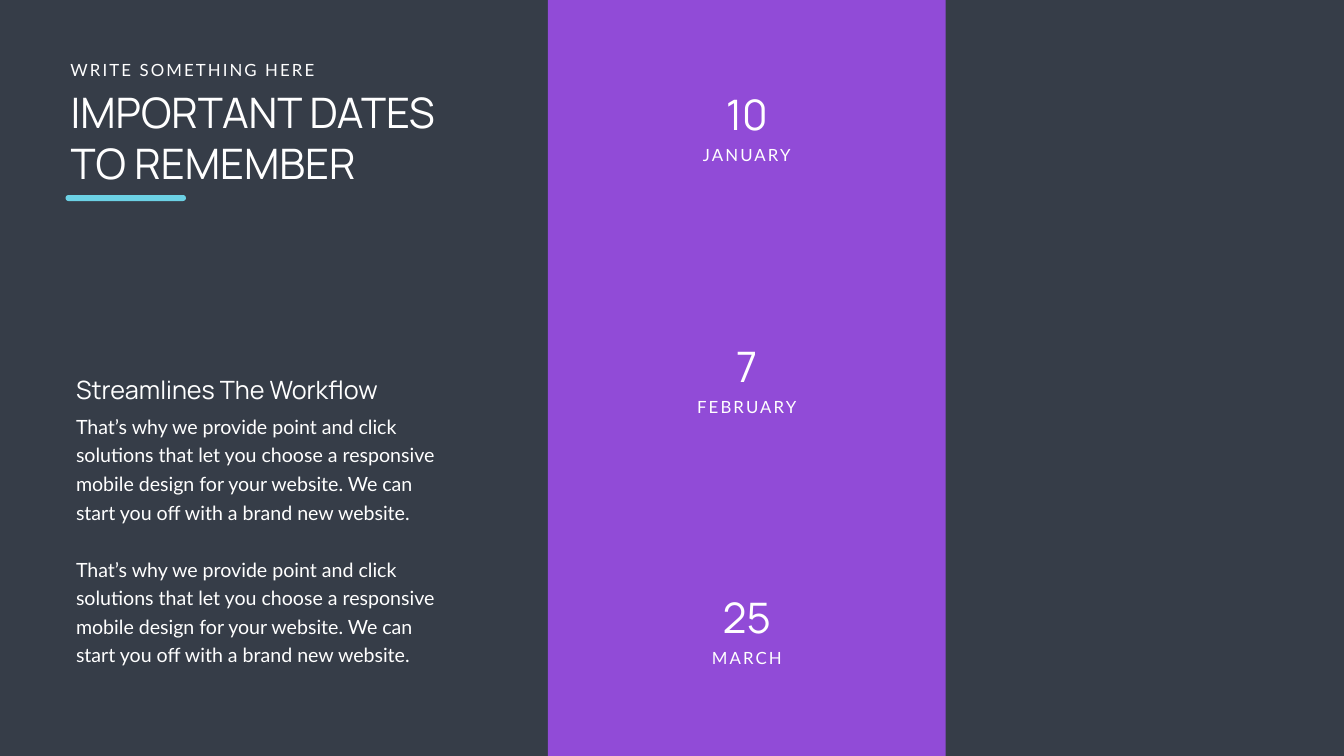
from pptx import Presentation
from pptx.dml.color import RGBColor
from pptx.enum.shapes import MSO_SHAPE
from pptx.enum.text import MSO_ANCHOR, MSO_AUTO_SIZE, PP_ALIGN
from pptx.util import Pt

TITLE = "IMPORTANT DATES TO REMEMBER"
EYEBROW = "WRITE SOMETHING HERE"
HEADING = "Streamlines The Workflow"
PARAGRAPH = (
    "That’s why we provide point and click solutions that let you choose "
    "a responsive mobile design for your website. "
    "We can start you off with a brand new website."
)
DATES = [("10", "JANUARY"), ("7", "FEBRUARY"), ("25", "MARCH")]

SLATE = RGBColor(0x36, 0x3D, 0x48)
WHITE = RGBColor(0xFF, 0xFF, 0xFF)
PURPLE = RGBColor(0x91, 0x4B, 0xD7)
CYAN = RGBColor(0x6C, 0xD1, 0xE5)

SLIDE_WIDTH, SLIDE_HEIGHT = 1919.52, 1080
MARGIN = 93.6
BODY_LEFT = 101.5
COLUMN_LEFT, COLUMN_WIDTH = 782.6, 568
DATE_WIDTH, DATE_TOP, DATE_STEP = 215.2, 123.1, 359.4
NUMBER_HEIGHT, LABEL_HEIGHT = 80, 36
LINE_HEIGHT = 40.8


def write(shape, paragraphs, size, font, alignment=PP_ALIGN.LEFT, tracking=0, line_height=None):
    frame = shape.text_frame
    frame.word_wrap = True
    frame.auto_size = MSO_AUTO_SIZE.NONE
    frame.vertical_anchor = MSO_ANCHOR.TOP
    for index, text in enumerate(paragraphs):
        paragraph = frame.add_paragraph() if index else frame.paragraphs[0]
        paragraph.alignment = alignment
        if line_height:
            paragraph.line_spacing = Pt(line_height)
            if index:
                paragraph.space_before = Pt(line_height)
        run = paragraph.add_run()
        run.text = text
        run.font.size = Pt(size)
        run.font.name = font
        run.font.color.rgb = WHITE
        if tracking:
            run.font._element.set("spc", str(tracking * 100))


def add_text(slide, box, paragraphs, size, font, **options):
    write(slide.shapes.add_textbox(*map(Pt, box)), paragraphs, size, font, **options)


def add_block(slide, kind, box, color):
    shape = slide.shapes.add_shape(kind, *map(Pt, box))
    shape.shadow.inherit = False
    shape.fill.solid()
    shape.fill.fore_color.rgb = color
    shape.line.fill.background()
    return shape


def main():
    presentation = Presentation()
    presentation.slide_width = Pt(SLIDE_WIDTH)
    presentation.slide_height = Pt(SLIDE_HEIGHT)
    slide = presentation.slides.add_slide(presentation.slide_layouts[5])
    slide.background.fill.solid()
    slide.background.fill.fore_color.rgb = SLATE

    title = slide.shapes.title
    title.left, title.top, title.width, title.height = map(Pt, (MARGIN, 120.2, 568, 152.6))
    write(title, [TITLE], 60, "Manrope")
    add_text(slide, (MARGIN, 81.4, 568, LABEL_HEIGHT), [EYEBROW], 24, "Lato", tracking=3)
    underline = add_block(slide, MSO_SHAPE.ROUNDED_RECTANGLE, (MARGIN, 278.6, 172, 8.6), CYAN)
    underline.adjustments[0] = 0.5

    add_block(slide, MSO_SHAPE.RECTANGLE, (COLUMN_LEFT, 0, COLUMN_WIDTH, SLIDE_HEIGHT), PURPLE)
    date_left = COLUMN_LEFT + (COLUMN_WIDTH - DATE_WIDTH) / 2
    for index, (day, month) in enumerate(DATES):
        top = DATE_TOP + index * DATE_STEP
        add_text(slide, (date_left, top, DATE_WIDTH, NUMBER_HEIGHT), [day], 60, "Manrope",
                 alignment=PP_ALIGN.CENTER)
        add_text(slide, (date_left, top + NUMBER_HEIGHT, DATE_WIDTH, LABEL_HEIGHT), [month], 24,
                 "Lato", alignment=PP_ALIGN.CENTER, tracking=3)

    add_text(slide, (BODY_LEFT, 530.6, 537.8, 51.2), [HEADING], 36, "Manrope")
    add_text(slide, (BODY_LEFT, 581.8, 537.8, 375.8), [PARAGRAPH] * 2, 28, "Lato",
             line_height=LINE_HEIGHT)

    presentation.save("out.pptx")


if __name__ == "__main__":
    main()
